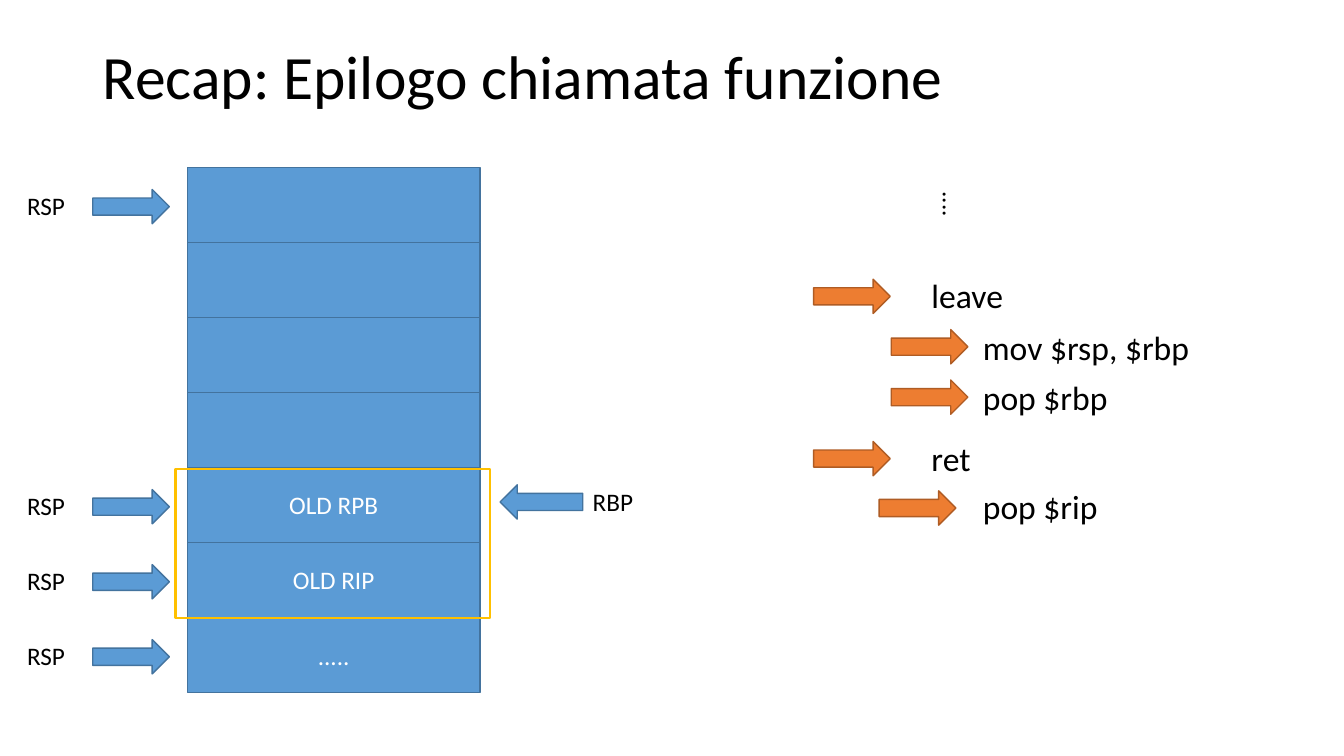
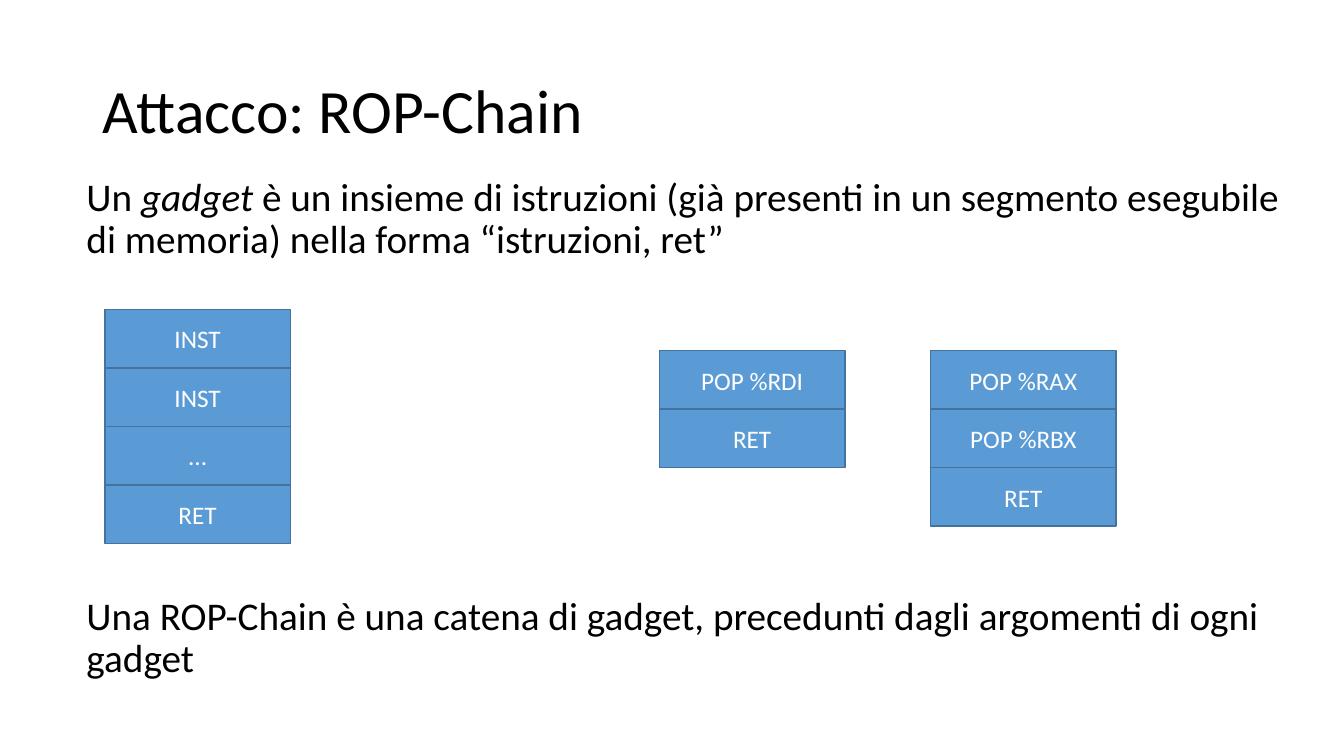
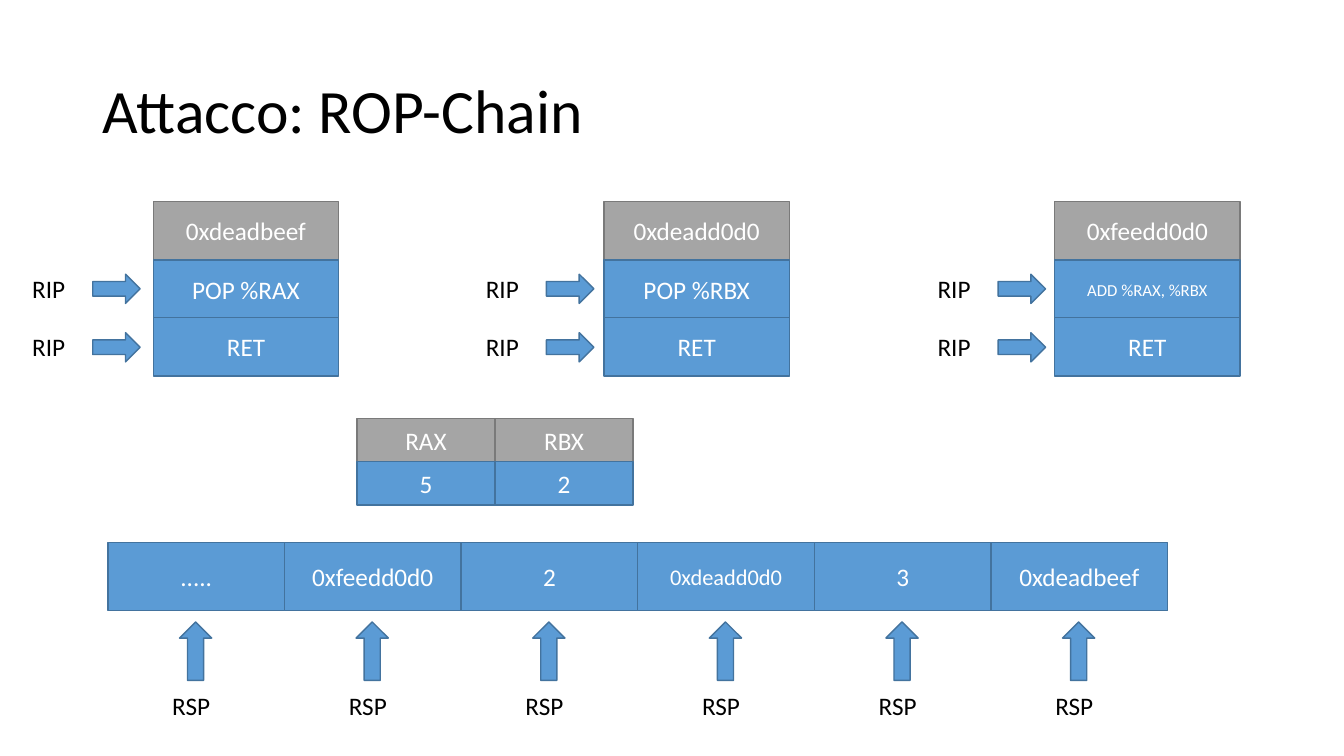
from pptx import Presentation
from pptx.dml.color import RGBColor
from pptx.enum.shapes import MSO_SHAPE
from pptx.enum.text import MSO_ANCHOR, PP_ALIGN
from pptx.util import Inches, Pt

RECT = MSO_SHAPE.RECTANGLE
RIGHT = MSO_SHAPE.RIGHT_ARROW
LEFT = MSO_SHAPE.LEFT_ARROW
UP = MSO_SHAPE.UP_ARROW
MIDDLE = MSO_ANCHOR.MIDDLE
CENTER = PP_ALIGN.CENTER

FONT = "Calibri"
BLACK = "000000"
WHITE = "FFFFFF"
GOLD = "FFC000"
BLUE = ("5B9BD5", "43739E")
ORANGE = ("ED7D31", "AF5C24")
GRAY = ("A5A5A5", "7A7A7A")
CELL = (1.84, 0.58)


def color(code):
    return RGBColor.from_string(code)


def add_run(para, text, size, ink=BLACK, italic=False):
    run = para.add_run()
    run.text = text
    run.font.name = FONT
    run.font.size = Pt(size)
    run.font.italic = italic
    run.font.color.rgb = color(ink)


def add_text(slide, x, y, w, h, text, size=18):
    box = slide.shapes.add_textbox(Inches(x), Inches(y), Inches(w), Inches(h))
    frame = box.text_frame
    frame.word_wrap = True
    add_run(frame.paragraphs[0], text, size)
    return frame


def add_title(slide, y, text):
    frame = add_text(slide, 0.92, y, 11.5, 1.45, text, 44)
    frame.vertical_anchor = MIDDLE
    frame.paragraphs[0].line_spacing = 0.9


def add_body(slide, y, first, *parts):
    para = add_text(slide, 0.76, y, 12.04, 1.07, first, 28).paragraphs[0]
    para.line_spacing = 0.9
    para.space_before = Pt(10)
    for text, italic in parts:
        add_run(para, text, 28, italic=italic)


def add_form(slide, kind, x, y, w, h, paint=BLUE):
    form = slide.shapes.add_shape(kind, Inches(x), Inches(y), Inches(w), Inches(h))
    form.shadow.inherit = False
    fill, line = paint
    form.fill.solid()
    form.fill.fore_color.rgb = color(fill)
    form.line.color.rgb = color(line)
    form.line.width = Pt(1)
    return form


def add_cell(slide, x, y, w, h, text, paint=BLUE, size=18):
    frame = add_form(slide, RECT, x, y, w, h, paint).text_frame
    frame.word_wrap = True
    frame.vertical_anchor = MIDDLE
    para = frame.paragraphs[0]
    para.alignment = CENTER
    if text:
        add_run(para, text, size, WHITE)


def add_stack(slide, x, y, w, h, texts, size=18):
    for row, text in enumerate(texts):
        add_cell(slide, x, y + row * h, w, h, text, size=size)


def add_frame(slide, x, y, w, h):
    frame = add_form(slide, RECT, x, y, w, h, (GOLD, GOLD))
    frame.fill.background()
    frame.line.width = Pt(1.5)


def draw_recap(slide):
    add_title(slide, 0.06, "Recap: Epilogo chiamata funzione")
    top, step = 1.66, 5.21 / 7
    add_stack(slide, 1.86, top, 2.9, step, ["", "", "", "", "OLD RPB", "OLD RIP", "....."])
    for row in (0, 4, 5, 6):
        y = top + row * step
        add_form(slide, RIGHT, 0.92, y + 0.22, 0.76, 0.34)
        add_text(slide, 0.17, y + 0.18, 0.74, 0.4, "RSP")
    add_form(slide, LEFT, 4.96, 4.81, 0.82, 0.34)
    add_text(slide, 5.78, 4.78, 0.74, 0.4, "RBP")
    add_frame(slide, 1.74, 4.65, 3.12, 1.48)

    dots = add_text(slide, 9.15, 1.8, 0.5, 0.47, "....")
    dots._txBody.bodyPr.set("vert", "eaVert")
    steps = [
        (8.07, 2.77, 9.14, 2.68, "leave"),
        (8.84, 3.27, 9.65, 3.19, "mov $rsp, $rbp"),
        (8.84, 3.77, 9.65, 3.69, "pop $rbp"),
        (8.07, 4.38, 9.14, 4.3, "ret"),
        (8.72, 4.87, 9.65, 4.77, "pop $rip"),
    ]
    for tip, high, x, y, text in steps:
        add_form(slide, RIGHT, tip, high, 0.76, 0.34, ORANGE)
        add_text(slide, x, y, 3.28, 0.5, text, 24)


def draw_gadget(slide):
    add_title(slide, 0.4, "Attacco: ROP-Chain")
    add_body(slide, 1.71, "Un ", ("gadget ", True),
             ("è un insieme di istruzioni (già presenti in un segmento esegubile "
              "di memoria) nella forma “istruzioni, ret”", False))
    add_stack(slide, 1.04, 3.07, *CELL, ["INST", "INST", "...", "RET"])
    add_stack(slide, 6.54, 3.48, *CELL, ["POP %RDI", "RET"])
    add_stack(slide, 9.23, 3.48, *CELL, ["POP %RAX", "POP %RBX", "RET"])
    add_body(slide, 5.87, "Una ROP-Chain è una catena di gadget, "
             "precedunti dagli argomenti di ogni gadget")


def draw_chain(slide):
    add_title(slide, 0.4, "Attacco: ROP-Chain")
    gadgets = [
        (1.52, 0.92, "0xdeadbeef", "POP %RAX", 18),
        (5.99, 5.42, "0xdeadd0d0", "POP %RBX", 18),
        (10.46, 9.9, "0xfeedd0d0", "ADD %RAX, %RBX", 12),
    ]
    for x, tip, head, code, size in gadgets:
        add_cell(slide, x, 2, *CELL, head, GRAY)
        add_cell(slide, x, 2.58, *CELL, code, size=size)
        add_cell(slide, x, 3.15, *CELL, "RET")
        for y in (2.72, 3.3):
            add_form(slide, RIGHT, tip, y, 0.47, 0.29)
            add_text(slide, tip - 0.7, y - 0.06, 0.69, 0.4, "RIP")

    for x, name, value in ((3.54, "RAX", "5"), (4.91, "RBX", "2")):
        add_cell(slide, x, 4.15, 1.37, 0.43, name, GRAY)
        add_cell(slide, x, 4.58, 1.37, 0.43, value)

    words = [(".....", 18), ("0xfeedd0d0", 18), ("2", 18),
             ("0xdeadd0d0", 16), ("3", 18), ("0xdeadbeef", 18)]
    wide = 10.51 / len(words)
    for col, (text, size) in enumerate(words):
        x = 1.07 + col * wide
        add_cell(slide, x, 5.38, wide, 0.68, text, size=size)
        add_form(slide, UP, x + 0.71, 6.17, 0.32, 0.58)
        add_text(slide, x + 0.54, 6.8, 0.78, 0.4, "RSP")


def main():
    deck = Presentation()
    deck.slide_width = Inches(13.33)
    deck.slide_height = Inches(7.5)
    for draw in (draw_recap, draw_gadget, draw_chain):
        draw(deck.slides.add_slide(deck.slide_layouts[6]))
    deck.save("out.pptx")


if __name__ == "__main__":
    main()
